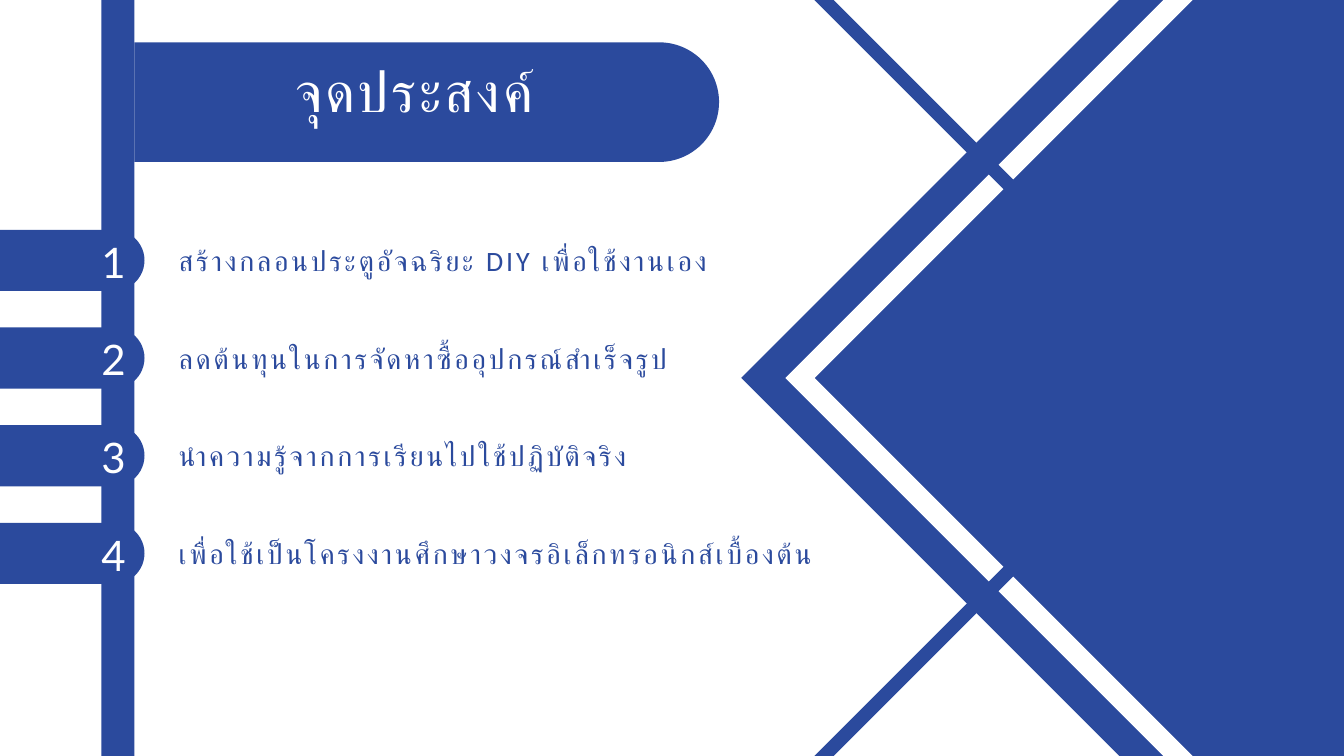
from pptx import Presentation, util as u
from pptx.dml.color import RGBColor
from pptx.enum import shapes as s, text as t

COLS, ROWS = 20, 11.25  # grid of one-inch cells
MID = ROWS / 2
BLUE, WHITE = "2B4A9D", "FFFFFF"
BAR, BAR_W = 1.51, 0.49
TOP, STEP = 3.42, 4.36 / 3
GOALS = [
    ("สร้างกลอนประตูอัจฉริยะ DIY เพื่อใช้งานเอง", 9.18),
    ("ลดต้นทุนในการจัดหาซื้ออุปกรณ์สำเร็จรูป", 8.37),
    ("นำความรู้จากการเรียนไปใช้ปฏิบัติจริง", 8.03),
    ("เพื่อใช้เป็นโครงงานศึกษาวงจรอิเล็กทรอนิกส์เบื้องต้น", 10.73),
]


def grid(*cells):
    return [u.Inches(c) for c in cells]


def rgb(code):
    return RGBColor.from_string(code)


def shape(slide, kind, x, y, w, h, fill=BLUE, turn=0):
    item = slide.shapes.add_shape(kind, *grid(x, y, w, h))
    item.shadow.inherit = False
    item.fill.solid()
    item.fill.fore_color.rgb = rgb(fill)
    item.line.fill.background()
    item.rotation = turn
    return item


def diamond(slide, x, y, side, fill=BLUE, rim=None):
    """Square on its corner, centred at x, y; rim is a frame's share of side."""
    kind = s.MSO_SHAPE.FRAME if rim else s.MSO_SHAPE.RECTANGLE
    item = shape(slide, kind, x - side / 2, y - side / 2, side, side, fill, 45)
    if rim:
        item.adjustments[0] = rim


def tab(slide, x, y, w, h):
    """Bar with a round right end: a round-topped box turned on its side."""
    left, top = x + (w - h) / 2, y + (h - w) / 2
    item = shape(slide, s.MSO_SHAPE.ROUND_2_SAME_RECTANGLE,
                 left, top, h, w, turn=90)
    item.adjustments[0] = 0.5


def label(slide, words, x, y, w, h, size, color, face="Calibri",
          align=t.PP_ALIGN.LEFT, track=0):
    frame = slide.shapes.add_textbox(*grid(x, y, w, h)).text_frame
    frame.word_wrap = True
    frame.margin_left = frame.margin_right = 0
    frame.margin_top = frame.margin_bottom = 0
    para = frame.paragraphs[0]
    para.text = words
    para.alignment = align
    font = para.font
    font.name, font.size = face, u.Pt(size)
    font.color.rgb = rgb(color)
    if track:
        para._p.pPr.defRPr.set("spc", str(track * 100)) if hasattr(
            para._p.pPr, "defRPr") else font._element.set("spc", str(track * 100))
    return para


def goal(slide, row, words, width):
    y = TOP + row * STEP
    tab(slide, 0, y, 2.15, 0.91)
    num = label(slide, str(row + 1), BAR, y - 0.03, 0.36, 0.85, 45, WHITE,
                "Lato", t.PP_ALIGN.CENTER)
    num.line_spacing = u.Pt(63)
    para = label(slide, words, 2.66, y + 0.12, width, 0.57, 30, BLUE, track=3)
    para.line_spacing = u.Pt(42)


def main():
    deck = Presentation()
    deck.slide_width, deck.slide_height = grid(COLS, ROWS)
    slide = deck.slides.add_slide(deck.slide_layouts[6])

    shape(slide, s.MSO_SHAPE.RECTANGLE, BAR, 0, BAR_W, ROWS)
    diamond(slide, 18.9, MID, 11.13)
    diamond(slide, 18.95, MID, 10.27, WHITE, rim=0.03)
    for side in (1, -1):
        diamond(slide, 15.97, MID + side * 6.54, 6.74, rim=0.03)

    tab(slide, BAR + BAR_W, 0.63, 8.7, 1.78)
    title = label(slide, "จุดประสงค์", 2.32, 0.96, 7.68, 0.98, 60, WHITE,
                  align=t.PP_ALIGN.CENTER, track=3)
    title.line_spacing = u.Pt(63)
    for row, (words, width) in enumerate(GOALS):
        goal(slide, row, words, width)

    deck.save("out.pptx")


if __name__ == "__main__":
    main()
